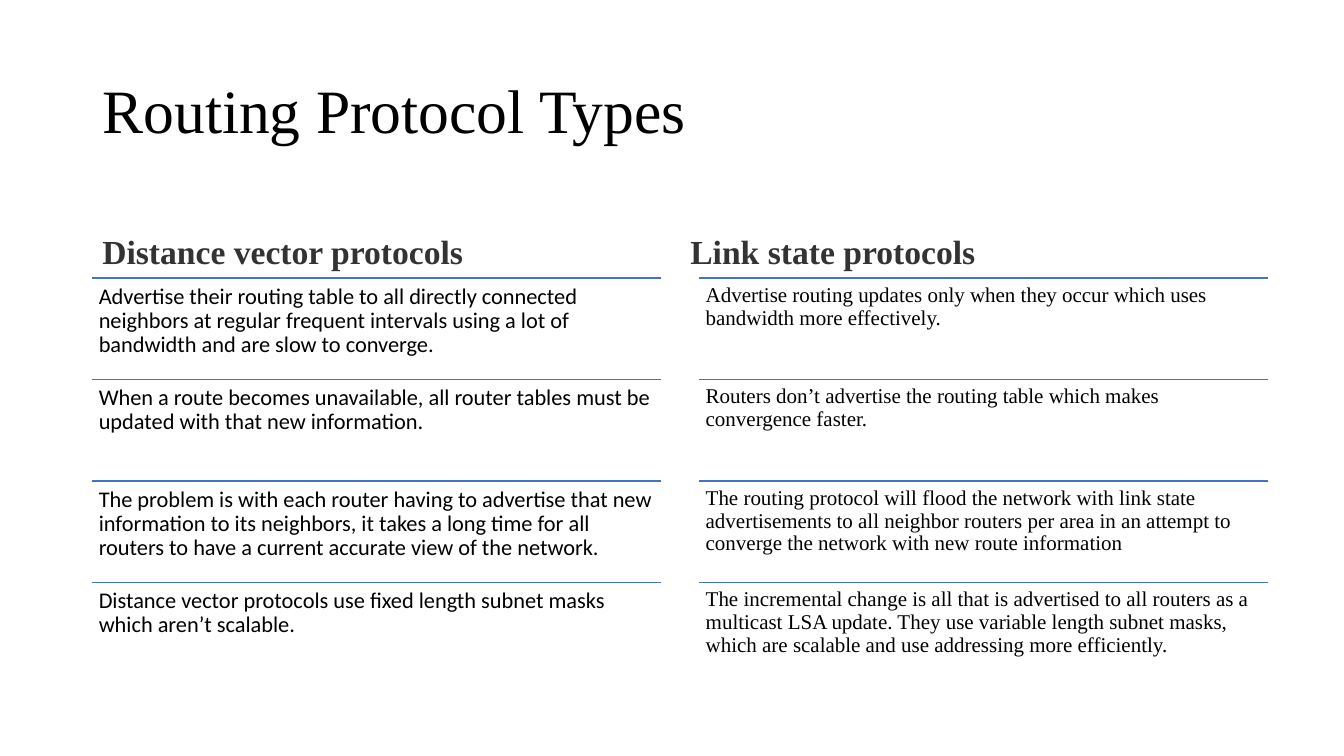
from lxml.etree import SubElement
from pptx import Presentation
from pptx.dml.color import RGBColor
from pptx.enum.shapes import MSO_CONNECTOR
from pptx.enum.text import MSO_ANCHOR, MSO_AUTO_SIZE, PP_ALIGN
from pptx.oxml.ns import qn
from pptx.util import Pt

COLORS = {"text": "000000", "heading": "333333", "rule": "4472C4"}
SERIF = "Times New Roman"
ROW_HEIGHT = 72.48

DISTANCE_VECTOR = [
    "Advertise their routing table to all directly connected neighbors at regular "
    "frequent intervals using a lot of bandwidth and are slow to converge.",
    "When a route becomes unavailable, all router tables must be updated with that "
    "new information.",
    "The problem is with each router having to advertise that new information to its "
    "neighbors, it takes a long time for all routers to have a current accurate view "
    "of the network.",
    "Distance vector protocols use fixed length subnet masks which aren’t scalable.",
]
LINK_STATE = [
    "Advertise routing updates only when they occur which uses bandwidth more "
    "effectively.",
    "Routers don’t advertise the routing table which makes convergence faster.",
    "The routing protocol will flood the network with link state advertisements to "
    "all neighbor routers per area in an attempt to converge the network with new "
    "route information",
    "The incremental change is all that is advertised to all routers as a multicast "
    "LSA update. They use variable length subnet masks, which are scalable and use "
    "addressing more efficiently.",
]


def write_text(sp, text, size, font, color="text", bold=False,
               anchor=MSO_ANCHOR.TOP, inset=None):
    tf = sp.text_frame
    tf.word_wrap = True
    tf.auto_size = MSO_AUTO_SIZE.NONE
    tf.vertical_anchor = anchor
    if inset is not None:
        tf.margin_left = tf.margin_right = Pt(inset)
        tf.margin_top = tf.margin_bottom = Pt(inset)
    p = tf.paragraphs[0]
    p.alignment = PP_ALIGN.LEFT
    p.line_spacing = 0.9
    r = p.add_run()
    r.text = text
    r.font.size = Pt(size)
    r.font.name = font
    r.font.bold = bold
    r.font.color.rgb = RGBColor.from_string(COLORS[color])


def add_title(s, x, y, w, h, text):
    sp = s.shapes.title
    sp.left, sp.top, sp.width, sp.height = Pt(x), Pt(y), Pt(w), Pt(h)
    write_text(sp, text, 44, SERIF, anchor=MSO_ANCHOR.MIDDLE)


def add_heading(s, x, y, w, h, text):
    sp = s.shapes.add_textbox(Pt(x), Pt(y), Pt(w), Pt(h))
    write_text(sp, text, 24, SERIF, "heading", True, MSO_ANCHOR.BOTTOM)


def add_ruled_list(s, x, y, w, items, size, font, inset):
    """Stack the items in equal rows, each under a thin rule."""
    for i, text in enumerate(items):
        top = y + i * ROW_HEIGHT
        rule = s.shapes.add_connector(
            MSO_CONNECTOR.STRAIGHT, Pt(x), Pt(top), Pt(x + w), Pt(top))
        rule.line.color.rgb = RGBColor.from_string(COLORS["rule"])
        rule.line.width = Pt(1)
        SubElement(rule._element.spPr, qn("a:effectLst"))
        sp = s.shapes.add_textbox(Pt(x), Pt(top), Pt(w), Pt(ROW_HEIGHT))
        write_text(sp, text, size, font, inset=inset)


def main():
    prs = Presentation()
    prs.slide_width, prs.slide_height = Pt(960), Pt(540)
    s = prs.slides.add_slide(prs.slide_layouts[5])
    add_title(s, 66, 28.8, 828, 104.4, "Routing Protocol Types")
    add_heading(s, 66, 132.4, 406, 65, "Distance vector protocols")
    add_ruled_list(s, 65.8, 198.6, 406.2, DISTANCE_VECTOR, 16, "Calibri", 4.8)
    add_heading(s, 486, 132.4, 408, 65, "Link state protocols")
    add_ruled_list(s, 499.6, 198.6, 406.2, LINK_STATE, 15, SERIF, 4.5)
    prs.save("out.pptx")


if __name__ == "__main__":
    main()
